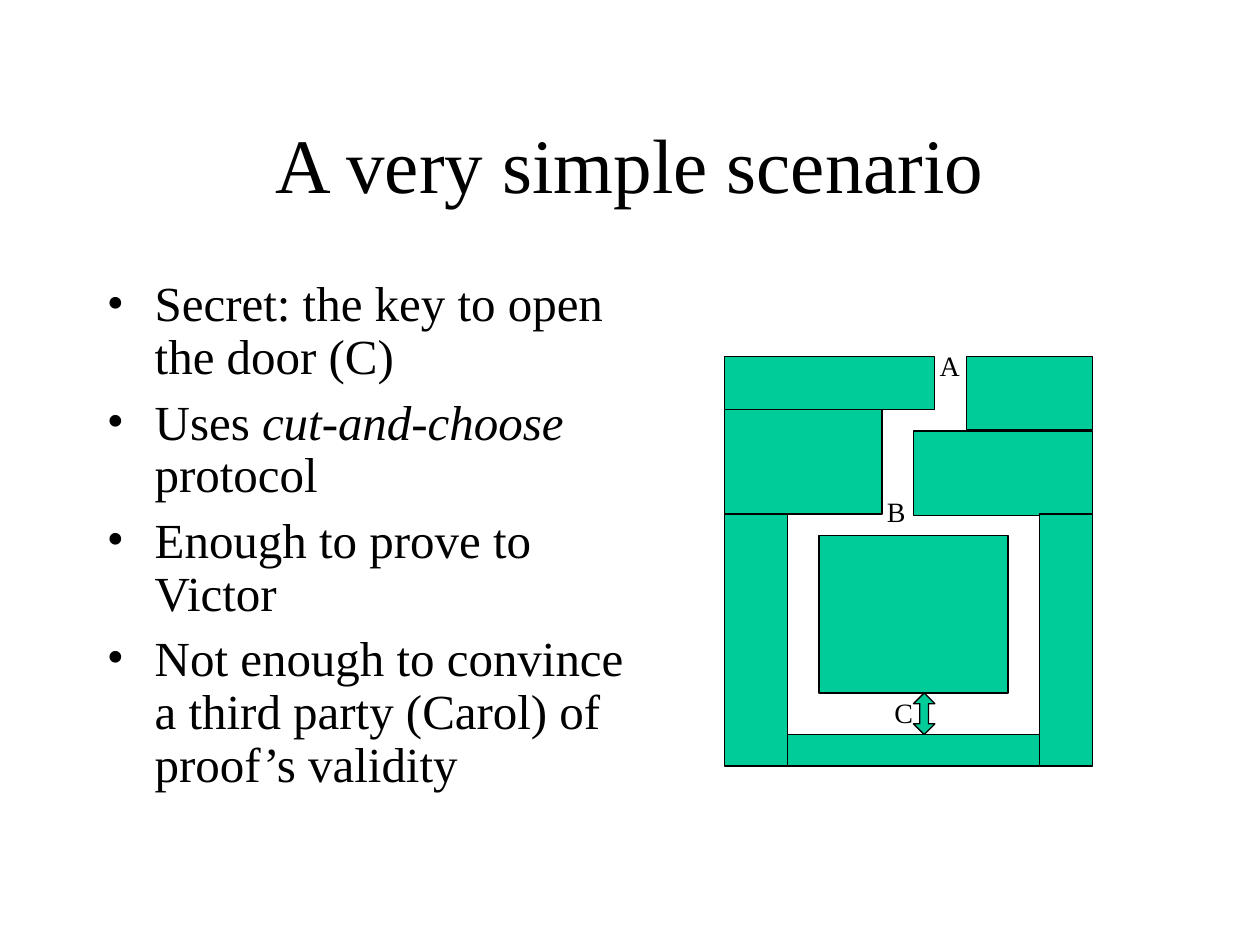
from dataclasses import dataclass

from lxml.etree import SubElement
from pptx import Presentation
from pptx.dml.color import RGBColor
from pptx.enum.shapes import MSO_SHAPE as Preset
from pptx.enum.text import MSO_ANCHOR as Anchor, MSO_AUTO_SIZE as AutoSize, PP_ALIGN as Align
from pptx.oxml.ns import qn
from pptx.util import Inches, Pt


@dataclass(frozen=True)
class Theme:
    font: str = "Times New Roman"
    ink: RGBColor = RGBColor(0x00, 0x00, 0x00)
    paper: RGBColor = RGBColor(0xFF, 0xFF, 0xFF)
    wall: RGBColor = RGBColor(0x00, 0xCC, 0x99)
    title_size: int = 44
    body_size: int = 28
    label_size: int = 16
    line_width: float = 0.75


def set_attributes(target, values):
    for name, value in values.items():
        setattr(target, name, value)


class SlideBuilder:
    """Holds the theme and the current slide."""

    def __init__(self, slide, theme):
        self.slide = slide
        self.theme = theme
        fill = slide.background.fill
        fill.solid()
        fill.fore_color.rgb = theme.paper

    def add_span(self, para, text, size, italic=False):
        span = para.add_run()
        span.text = text
        set_attributes(span.font, {"name": self.theme.font, "size": Pt(size), "italic": italic})
        span.font.color.rgb = self.theme.ink

    def title(self, text, bounds):
        box = self.slide.shapes.title
        left, top, width, height = map(Inches, bounds)
        set_attributes(box, {"left": left, "top": top, "width": width, "height": height})
        set_attributes(box.text_frame, {"vertical_anchor": Anchor.MIDDLE, "word_wrap": True})
        para = box.text_frame.paragraphs[0]
        para.alignment = Align.CENTER
        self.add_span(para, text, self.theme.title_size)

    def bullets(self, items, bounds, indent=0.38):
        """Each item is a list of (text, italic) spans."""
        box = self.slide.shapes.add_textbox(*map(Inches, bounds))
        frame = box.text_frame
        frame.word_wrap = True
        for index, spans in enumerate(items):
            para = frame.add_paragraph() if index else frame.paragraphs[0]
            set_attributes(para, {"line_spacing": 0.9, "space_before": Pt(7)})
            properties = para._p.get_or_add_pPr()
            properties.set("marL", str(Inches(indent)))
            properties.set("indent", str(-Inches(indent)))
            color = SubElement(properties, qn("a:buClr"))
            SubElement(color, qn("a:srgbClr"), val=str(self.theme.ink))
            SubElement(properties, qn("a:buFont"), typeface=self.theme.font)
            SubElement(properties, qn("a:buChar"), char="•")
            for text, italic in spans:
                self.add_span(para, text, self.theme.body_size, italic)

    def block(self, bounds, preset=Preset.RECTANGLE, adjustments=()):
        shape = self.slide.shapes.add_shape(preset, *map(Inches, bounds))
        for index, value in enumerate(adjustments):
            shape.adjustments[index] = value
        shape.shadow.inherit = False
        shape.fill.solid()
        shape.fill.fore_color.rgb = self.theme.wall
        shape.line.color.rgb = self.theme.ink
        shape.line.width = Pt(self.theme.line_width)

    def label(self, text, left, top):
        box = self.slide.shapes.add_textbox(*map(Inches, (left, top, 0.39, 0.37)))
        set_attributes(box.text_frame, {"word_wrap": True, "auto_size": AutoSize.SHAPE_TO_FIT_TEXT})
        para = box.text_frame.paragraphs[0]
        para.space_before = Pt(10)
        self.add_span(para, text, self.theme.label_size)


def main():
    deck = Presentation()
    set_attributes(deck, {"slide_width": Inches(10), "slide_height": Inches(7.5)})
    page = SlideBuilder(deck.slides.add_slide(deck.slide_layouts[5]), Theme())

    # Title and explanation
    page.title("A very simple scenario", (0.75, 0.67, 8.5, 1.25))
    page.bullets(
        [
            [("Secret: the key to open the door (C)", False)],
            [("Uses ", False), ("cut-and-choose", True), (" protocol", False)],
            [("Enough to prove to Victor", False)],
            [("Not enough to convince a third party (Carol) of proof’s validity", False)],
        ],
        (0.75, 2.17, 4.33, 4.5),
    )

    # Cave walls
    walls = [
        (5.75, 2.83, 1.67, 0.42),  # entrance, left
        (7.67, 2.83, 1, 0.58),  # entrance, right
        (7.25, 3.42, 1.42, 0.67),  # passage, right
        (5.75, 3.25, 1.25, 0.83),  # passage, left
        (6.5, 4.25, 1.5, 1.25),  # central rock
        (5.75, 4.08, 0.5, 2),  # outer left
        (8.25, 4.08, 0.42, 2),  # outer right
        (6.25, 5.83, 2, 0.25),  # floor
    ]
    for bounds in walls:
        page.block(bounds)

    # Secret door
    page.block((7.25, 5.5, 0.17, 0.33), Preset.UP_DOWN_ARROW, (0.5, 0.4))

    # Place labels
    for text, left, top in [("A", 7.36, 2.72), ("B", 6.94, 3.88), ("C", 7, 5.47)]:
        page.label(text, left, top)

    deck.save("out.pptx")


if __name__ == "__main__":
    main()
